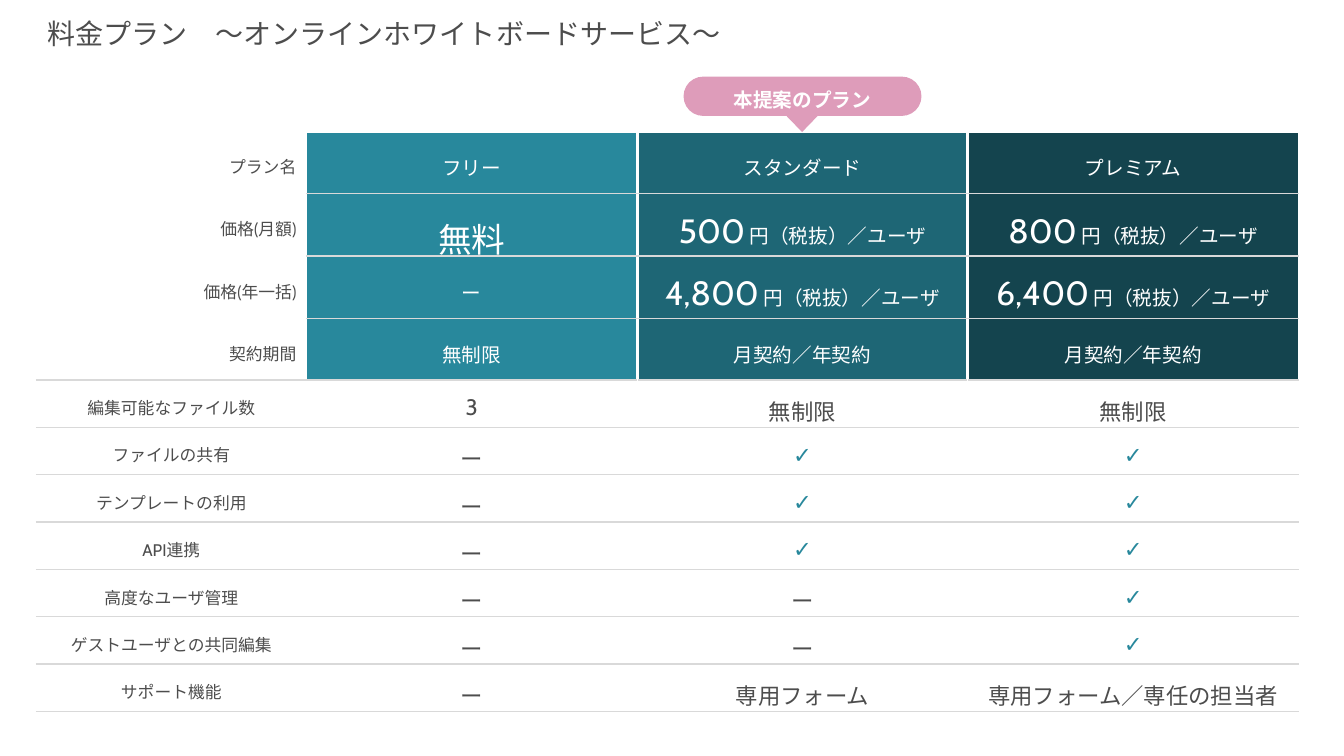
from dataclasses import dataclass
from lxml.etree import SubElement
from pptx import Presentation
from pptx.dml.color import RGBColor
from pptx.enum.shapes import MSO_SHAPE as Preset
from pptx.enum.text import MSO_ANCHOR as Anchor, PP_ALIGN as Align
from pptx.oxml import parse_xml
from pptx.oxml.ns import nsdecls, qn
from pptx.util import Inches, Pt


@dataclass(frozen=True)
class Theme:
    white: str = "FFFFFF"
    ink: str = "4D4D4D"
    rule: str = "D9D9D9"
    free: str = "28889C"
    standard: str = "1E6675"
    premium: str = "14444E"
    badge: str = "DE9CBA"
    latin: str = "Cabin"
    japanese: str = "Noto Sans CJK JP"
    title_size: int = 20
    price_size: int = 24
    plan_size: int = 14
    body_size: int = 16
    label_size: int = 12


@dataclass(frozen=True)
class PlanRow:
    label: str
    values: tuple[str, str, str]
    is_price: bool = False


@dataclass(frozen=True)
class Edge:
    color: str
    width: float


THEME = Theme()
PLAN_FILLS = (THEME.free, THEME.standard, THEME.premium)
PRICE_UNIT = " 円（税抜）／ユーザ"
DASH, CHECK = "ー", "✓"
PLAN_ROWS = (
    PlanRow("プラン名", ("フリー", "スタンダード", "プレミアム")),
    PlanRow("価格(月額)", ("無料", "500", "800"), is_price=True),
    PlanRow("価格(年一括)", (DASH, "4,800", "6,400"), is_price=True),
    PlanRow("契約期間", ("無制限", "月契約／年契約", "月契約／年契約")),
)
FEATURE_ROWS = (
    PlanRow("編集可能なファイル数", ("3", "無制限", "無制限")),
    PlanRow("ファイルの共有", (DASH, CHECK, CHECK)),
    PlanRow("テンプレートの利用", (DASH, CHECK, CHECK)),
    PlanRow("API連携", (DASH, CHECK, CHECK)),
    PlanRow("高度なユーザ管理", (DASH, DASH, CHECK)),
    PlanRow("ゲストユーザとの共同編集", (DASH, DASH, CHECK)),
    PlanRow("サポート機能", (DASH, "専用フォーム", "専用フォーム／専任の担当者")),
)
COLUMN_WIDTHS = (1.34, 1.34, 3.28, 3.28, 3.28)
PLAN_HEIGHT, FEATURE_HEIGHT = 0.61, 0.47
WHITE_EDGE, RULE_EDGE = Edge(THEME.white, 1), Edge(THEME.rule, 1)
OUTER_EDGE, PLAN_EDGE = Edge(THEME.white, 0.75), Edge(THEME.white, 2.25)


def add_text(para, text: str, *, size: float, color: str = THEME.ink,
             bold: bool = False, font: str = THEME.latin, align=Align.CENTER,
             line_spacing: float = 1.3, space_after: float = 6) -> None:
    para.alignment = align
    para.line_spacing = line_spacing
    para.space_after = Pt(space_after)
    span = para.add_run()
    span.text = text
    span.font.size = Pt(size)
    span.font.bold = bold
    span.font.name = font
    span.font.color.rgb = RGBColor.from_string(color)
    SubElement(span.font._element, qn("a:ea"), typeface=THEME.japanese)


def style_cell(cell, fill: str, left: Edge, right: Edge, top: Edge, bottom: Edge) -> None:
    cell.fill.solid()
    cell.fill.fore_color.rgb = RGBColor.from_string(fill)
    cell.vertical_anchor = Anchor.MIDDLE
    properties = cell._tc.get_or_add_tcPr()
    edges = {"lnL": left, "lnR": right, "lnT": top, "lnB": bottom}
    for index, (tag, edge) in enumerate(edges.items()):
        properties.insert(index, parse_xml(
            f'<a:{tag} {nsdecls("a")} w="{int(Pt(edge.width))}"><a:solidFill>'
            f'<a:srgbClr val="{edge.color}"/></a:solidFill></a:{tag}>'))


def fill_plan_row(grid, index: int, row: PlanRow) -> None:
    top = OUTER_EDGE if index == 0 else WHITE_EDGE
    bottom = RULE_EDGE if index == len(PLAN_ROWS) - 1 else WHITE_EDGE
    style_cell(grid.cell(index, 0), THEME.white, OUTER_EDGE, WHITE_EDGE, top, bottom)
    label = grid.cell(index, 1)
    style_cell(label, THEME.white, WHITE_EDGE, WHITE_EDGE, top, bottom)
    add_text(label.text_frame.paragraphs[0], row.label, size=THEME.label_size, align=Align.RIGHT)

    for plan, (value, fill) in enumerate(zip(row.values, PLAN_FILLS)):
        cell = grid.cell(index, plan + 2)
        style_cell(cell, fill,
                   left=WHITE_EDGE if plan == 0 else PLAN_EDGE,
                   right=OUTER_EDGE if plan == 2 else PLAN_EDGE,
                   top=OUTER_EDGE if index == 0 else RULE_EDGE, bottom=RULE_EDGE)
        para = cell.text_frame.paragraphs[0]
        large = row.is_price and value != DASH
        add_text(para, value, color=THEME.white,
                 size=THEME.price_size if large else THEME.plan_size)
        if row.is_price and plan > 0:
            add_text(para, PRICE_UNIT, size=THEME.plan_size, color=THEME.white)


def fill_feature_row(grid, index: int, row: PlanRow) -> None:
    label = grid.cell(index, 0)
    label.merge(grid.cell(index, 1))
    style_cell(label, THEME.white, OUTER_EDGE, WHITE_EDGE, RULE_EDGE, RULE_EDGE)
    add_text(label.text_frame.paragraphs[0], row.label, size=THEME.label_size)
    for plan, value in enumerate(row.values):
        cell = grid.cell(index, plan + 2)
        style_cell(cell, THEME.white, WHITE_EDGE,
                   OUTER_EDGE if plan == 2 else WHITE_EDGE, RULE_EDGE, RULE_EDGE)
        checked = value == CHECK
        add_text(cell.text_frame.paragraphs[0], value, size=THEME.body_size,
                 color=THEME.free if checked else THEME.ink, bold=checked)


def add_plan_table(page) -> None:
    heights = [PLAN_HEIGHT] * len(PLAN_ROWS) + [FEATURE_HEIGHT] * len(FEATURE_ROWS)
    grid = page.shapes.add_table(
        len(heights), len(COLUMN_WIDTHS), Inches(0.36), Inches(1.31),
        Inches(sum(COLUMN_WIDTHS)), Inches(sum(heights))).table
    grid.first_row = grid.horz_banding = False
    for column, width in zip(grid.columns, COLUMN_WIDTHS):
        column.width = Inches(width)
    for line, height in zip(grid.rows, heights):
        line.height = Inches(height)
    for index, row in enumerate(PLAN_ROWS):
        fill_plan_row(grid, index, row)
    for index, row in enumerate(FEATURE_ROWS, start=len(PLAN_ROWS)):
        fill_feature_row(grid, index, row)


def add_badge_part(group, preset, left: float, top: float, width: float, height: float):
    shape = group.shapes.add_shape(
        preset, Inches(left), Inches(top), Inches(width), Inches(height))
    shape.shadow.inherit = False
    shape.fill.solid()
    shape.fill.fore_color.rgb = RGBColor.from_string(THEME.badge)
    shape.line.fill.background()
    return shape


def add_badge(page) -> None:
    group = page.shapes.add_group_shape()
    label = add_badge_part(group, Preset.ROUNDED_RECTANGLE, 6.78, 0.76, 2.36, 0.39)
    label.adjustments[0] = 0.5
    label.text_frame.vertical_anchor = Anchor.MIDDLE
    add_text(label.text_frame.paragraphs[0], "本提案のプラン",
             size=THEME.plan_size, color=THEME.white, bold=True)
    pointer = add_badge_part(group, Preset.ISOSCELES_TRIANGLE, 7.8, 1.15, 0.31, 0.16)
    pointer.rotation = 180


def add_title(page) -> None:
    box = page.shapes.add_textbox(Inches(0.37), Inches(0), Inches(12.6), Inches(0.71))
    box.text_frame.word_wrap = True
    box.text_frame.vertical_anchor = Anchor.MIDDLE
    add_text(box.text_frame.paragraphs[0], "料金プラン　～オンラインホワイトボードサービス～",
             size=THEME.title_size, font=THEME.japanese, align=Align.LEFT,
             line_spacing=0.9, space_after=0)


deck = Presentation()
deck.slide_width, deck.slide_height = Inches(13.33), Inches(7.5)
page = deck.slides.add_slide(deck.slide_layouts[6])
add_title(page)
add_plan_table(page)
add_badge(page)
deck.save("out.pptx")
